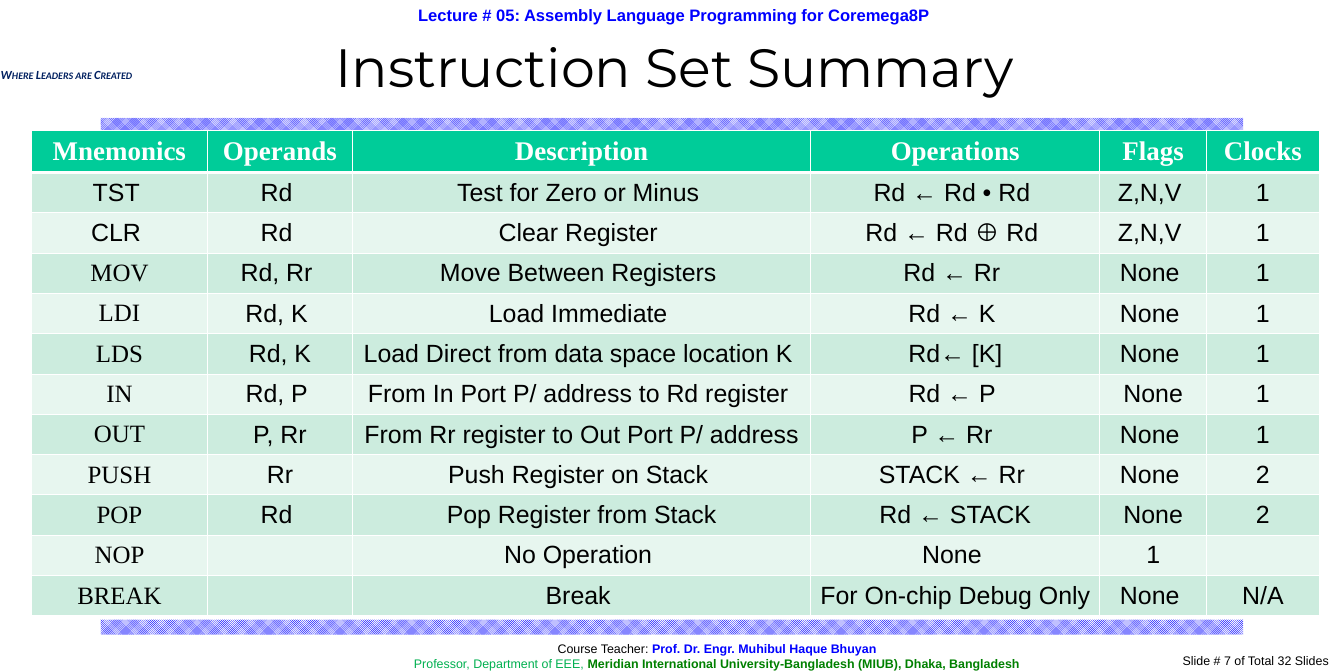
from lxml.etree import SubElement
from pptx import Presentation
from pptx.dml.color import RGBColor
from pptx.enum.dml import MSO_PATTERN
from pptx.enum.shapes import MSO_SHAPE
from pptx.enum.text import MSO_ANCHOR, PP_ALIGN
from pptx.oxml.ns import qn
from pptx.util import Inches, Pt

COLORS = {
    "white": "FFFFFF", "black": "000000", "blue": "0000FF", "navy": "002060",
    "lime": "00B050", "green": "008000", "header": "00CC99",
    "dark_row": "CCECDE", "light_row": "E7F6EF",
}
HEADINGS = ["Mnemonics", "Operands", "Description", "Operations", "Flags", "Clocks"]
INSTRUCTIONS = [
    ["TST ", "Rd ", "Test for Zero or Minus ", "Rd ← Rd • Rd ", "Z,N,V ", "1"],
    ["CLR ", "Rd ", "Clear Register ", "Rd ← Rd ⊕ Rd ", "Z,N,V ", "1"],
    ["MOV", "Rd, Rr ", "Move Between Registers ", "Rd ← Rr ", "None ", "1"],
    ["LDI", "Rd, K ", "Load Immediate ", "Rd ← K ", "None ", "1"],
    ["LDS", "Rd, K", "Load Direct from data space location K ", "Rd← [K]", "None ", "1"],
    ["IN", "Rd, P ", "From In Port P/ address to Rd register ", "Rd ← P ", "None", "1"],
    ["OUT", " P, Rr ", "From Rr register to Out Port P/ address", "P ← Rr ", "None ", "1"],
    ["PUSH", "Rr", "Push Register on Stack ", "STACK ← Rr ", "None ", "2"],
    ["POP", "Rd ", " Pop Register from Stack ", " Rd ← STACK ", "None", "2"],
    ["NOP", "", "No Operation ", "None ", "1", ""],
    ["BREAK", "", "Break ", "For On-chip Debug Only ", "None ", "N/A"],
]
COLUMN_WIDTHS = [2.36, 1.94, 6.14, 3.87, 1.43, 1.51]
ARIAL_MNEMONICS = ("TST ", "CLR ")


def rgb(name):
    return RGBColor.from_string(COLORS[name])


class SlideBuilder:
    def __init__(self, deck):
        self.page = deck.slides.add_slide(deck.slide_layouts[5])

    def span(self, para, text, size, font="Arial", color="black", bold=False):
        span = para.add_run()
        span.text = text
        span.font.size = Pt(size)
        span.font.name = font
        span.font.bold = bold
        span.font.color.rgb = rgb(color)
        return span

    def insets(self, frame, horizontal, vertical):
        frame.margin_left = frame.margin_right = Inches(horizontal)
        frame.margin_top = frame.margin_bottom = Inches(vertical)

    def title(self, text, area):
        box = self.page.shapes.title
        box.left, box.top, box.width, box.height = map(Inches, area)
        box.text_frame.vertical_anchor = MSO_ANCHOR.MIDDLE
        para = box.text_frame.paragraphs[0]
        para.alignment = PP_ALIGN.CENTER
        self.span(para, text, 52, "Montserrat")

    def band(self, top):
        box = self.page.shapes.add_shape(
            MSO_SHAPE.RECTANGLE, Inches(1.35), Inches(top), Inches(15.3), Inches(0.2))
        box.shadow.inherit = False
        box.line.fill.background()
        box.fill.patterned()
        box.fill.pattern = MSO_PATTERN.SMALL_CHECKER_BOARD
        box.fill.fore_color.rgb = rgb("blue")
        box.fill.back_color.rgb = rgb("white")

    def panel(self, area, lines, size, align=PP_ALIGN.CENTER, vertical_inset=0):
        box = self.page.shapes.add_shape(MSO_SHAPE.RECTANGLE, *map(Inches, area))
        box.shadow.inherit = False
        box.fill.solid()
        box.fill.fore_color.rgb = rgb("white")
        box.line.color.rgb = rgb("white")
        box.line.width = Pt(0.75)
        frame = box.text_frame
        frame.word_wrap = True
        self.insets(frame, 0.13, vertical_inset)
        for index, line in enumerate(lines):
            para = frame.add_paragraph() if index else frame.paragraphs[0]
            para.alignment = align
            for text, color, bold in line:
                self.span(para, text, size, color=color, bold=bold)

    def motto(self, text, area):
        box = self.page.shapes.add_textbox(*map(Inches, area))
        box.text_frame.word_wrap = True
        self.insets(box.text_frame, 0, 0.06)
        span = self.span(box.text_frame.paragraphs[0], text, 12, "Calibri", "navy", True)
        span.font.italic = True
        span._r.get_or_add_rPr().set("cap", "small")

    def borders(self, cell, bottom_width):
        properties = cell._tc.get_or_add_tcPr()
        for side, width in (("lnL", 1), ("lnR", 1), ("lnT", 1), ("lnB", bottom_width)):
            line = SubElement(properties, qn(f"a:{side}"), w=str(Pt(width)))
            fill = SubElement(line, qn("a:solidFill"))
            SubElement(fill, qn("a:srgbClr"), val=COLORS["white"])

    def cell(self, cell, text, fill, size, font, color, bold, bottom_width):
        self.borders(cell, bottom_width)
        cell.fill.solid()
        cell.fill.fore_color.rgb = rgb(fill)
        cell.vertical_anchor = MSO_ANCHOR.MIDDLE
        self.insets(cell, 0.12, 0.06)
        para = cell.text_frame.paragraphs[0]
        para.alignment = PP_ALIGN.CENTER
        if text:
            self.span(para, text, size, font, color, bold)

    def table(self, headings, rows, widths, area):
        grid = self.page.shapes.add_table(
            len(rows) + 1, len(headings), *map(Inches, area)).table
        for column, width in zip(grid.columns, widths):
            column.width = Inches(width)
        for index, row in enumerate(grid.rows):
            row.height = Inches(0.54 if index else 0.56)
        for column, text in enumerate(headings):
            self.cell(grid.cell(0, column), text, "header", 26,
                      "Times New Roman", "white", True, 3)
        for index, values in enumerate(rows, 1):
            fill = "dark_row" if index % 2 else "light_row"
            for column, text in enumerate(values):
                serif = column == 0 and text not in ARIAL_MNEMONICS
                font = "Times New Roman" if serif else "Arial"
                self.cell(grid.cell(index, column), text, fill, 24, font, "black", False, 1)


def main():
    deck = Presentation()
    deck.slide_width, deck.slide_height = Inches(18), Inches(9)
    slide = SlideBuilder(deck)
    for top in (8.3, 1.58):
        slide.band(top)
    slide.panel((0.08, 0.06, 17.89, 0.27), [
        [("Lecture # 05: Assembly Language Programming for Coremega8P", "blue", True)],
    ], 16)
    slide.panel((2.98, 8.58, 13.25, 0.42), [
        [("Course Teacher:", "black", False),
         (" Prof. Dr. Engr. Muhibul Haque Bhuyan", "blue", True)],
        [("Professor, Department of EEE, ", "lime", False),
         ("Meridian International University-Bangladesh (MIUB), Dhaka, Bangladesh",
          "green", True)],
    ], 12)
    slide.motto("Where Leaders are Created", (0.01, 0.84, 1.81, 0.33))
    slide.panel((14.93, 8.69, 3, 0.31), [
        [("Slide # 7 of Total 32 Slides", "black", False)],
    ], 12, PP_ALIGN.RIGHT, 0.06)
    slide.title("Instruction Set Summary", (2.44, 0.42, 13.2, 0.92))
    slide.table(HEADINGS, INSTRUCTIONS, COLUMN_WIDTHS, (0.42, 1.75, 17.25, 6.5))
    deck.save("out.pptx")


if __name__ == "__main__":
    main()
